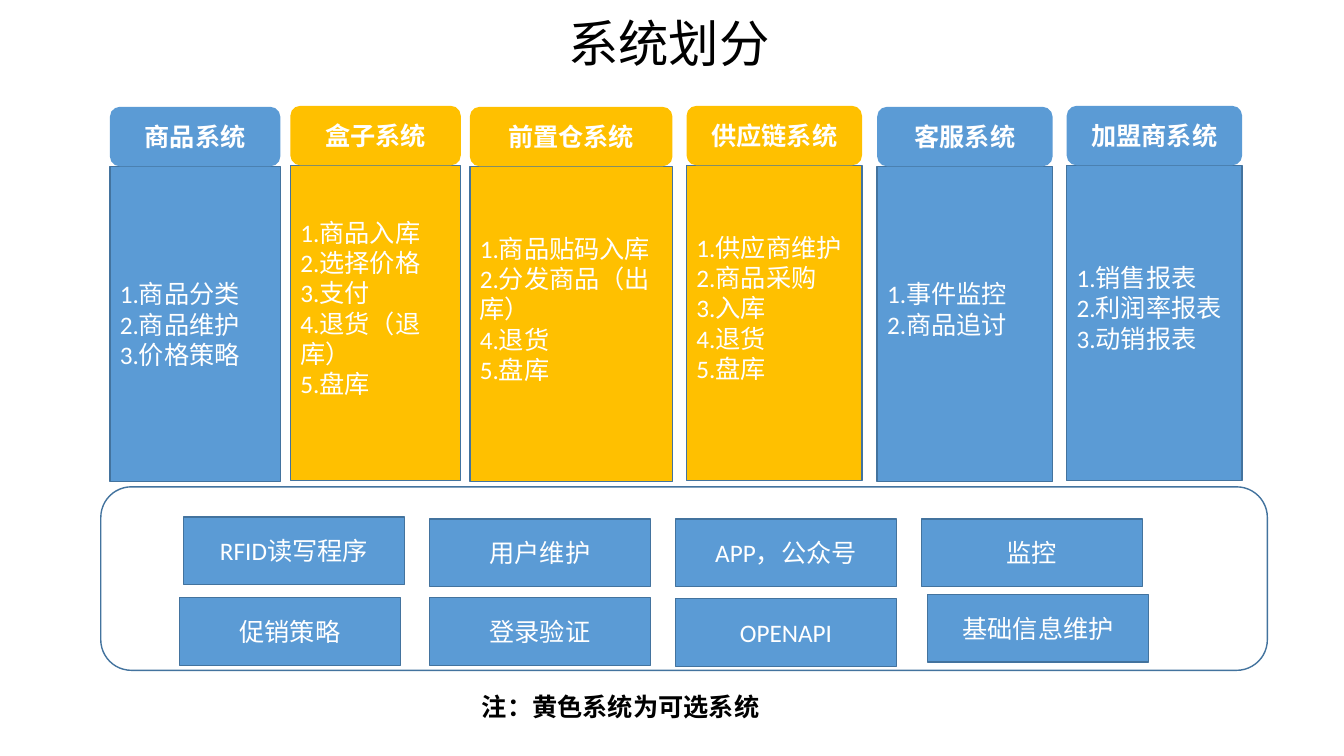
"""Build a slide that divides a retail platform into systems and shared services."""
import pptx
import pptx.dml.color
import pptx.enum.shapes
import pptx.enum.text
import pptx.util

BLUE, YELLOW, OUTLINE, WHITE, BLACK = "5B9BD5", "FFC000", "43739E", "FFFFFF", "000000"
RECTANGLE = pptx.enum.shapes.MSO_SHAPE.RECTANGLE
ROUNDED = pptx.enum.shapes.MSO_SHAPE.ROUNDED_RECTANGLE
CENTER = pptx.enum.text.PP_ALIGN.CENTER
LEFT = pptx.enum.text.PP_ALIGN.LEFT


def color(hex_value):
    return pptx.dml.color.RGBColor.from_string(hex_value)


def add_box(kind, bounds, lines=(), fill=None, line=None, text_color=WHITE,
            size=18, bold=False, align=CENTER, bottom=0.05):
    shape = slide.shapes.add_shape(kind, *[pptx.util.Inches(value) for value in bounds])
    shape.shadow.inherit = False
    if fill:
        shape.fill.solid()
        shape.fill.fore_color.rgb = color(fill)
    else:
        shape.fill.background()
    if line:
        shape.line.color.rgb = color(line)
        shape.line.width = pptx.util.Pt(1)
    else:
        shape.line.fill.background()
    frame = shape.text_frame
    frame.word_wrap = True
    frame.vertical_anchor = pptx.enum.text.MSO_ANCHOR.MIDDLE
    frame.margin_bottom = pptx.util.Inches(bottom)
    frame.text = "\n".join(lines)
    for paragraph in frame.paragraphs:
        paragraph.alignment = align
        paragraph.font.name = "Calibri"
        paragraph.font.size = pptx.util.Pt(size)
        paragraph.font.bold = bold
        paragraph.font.color.rgb = color(text_color)


presentation = pptx.Presentation()
presentation.slide_width = pptx.util.Inches(13.33)
presentation.slide_height = pptx.util.Inches(7.5)
slide = presentation.slides.add_slide(presentation.slide_layouts[6])

add_box(ROUNDED, (1.94, 0, 9.39, 0.84), ["系统划分"], text_color=BLACK, size=36)

systems = [
    ("商品系统", BLUE, 1.09, 1.06, 1.69, 0.05,
     ["1.商品分类", "2.商品维护", "3.价格策略"]),
    ("盒子系统", YELLOW, 2.88, 1.05, 1.69, 0.35,
     ["1.商品入库", "2.选择价格", "3.支付", "4.退货（退库）", "5.盘库"]),
    ("前置仓系统", YELLOW, 4.66, 1.06, 2.01, 0.35,
     ["1.商品贴码入库", "2.分发商品（出库）", "4.退货", "5.盘库"]),
    ("供应链系统", YELLOW, 6.81, 1.05, 1.74, 0.35,
     ["1.供应商维护", "2.商品采购", "3.入库", "4.退货", "5.盘库"]),
    ("客服系统", BLUE, 8.7, 1.06, 1.74, 0.35,
     ["1.事件监控", "2.商品追讨"]),
    ("加盟商系统", BLUE, 10.58, 1.05, 1.74, 0.35,
     ["1.销售报表", "2.利润率报表", "3.动销报表"]),
]
header_height, body_height = 0.59, 3.13
for name, fill, left, top, width, bottom, functions in systems:
    add_box(RECTANGLE, (left, top + header_height, width, body_height), functions,
            fill, OUTLINE, align=LEFT, bottom=bottom)
    add_box(ROUNDED, (left, top, width, header_height), [name], fill, bold=True)

add_box(ROUNDED, (1, 4.83, 11.57, 1.82), line=OUTLINE)

service_rows = [
    [("RFID读写程序", 0, -0.02), ("用户维护", 0, 0), ("APP，公众号", 0, 0), ("监控", 0, 0)],
    [("促销策略", -0.04, 0), ("登录验证", 0, 0), ("OPENAPI", 0, 0.01), ("基础信息维护", 0.06, -0.03)],
]
for row, services in enumerate(service_rows):
    for column, (name, shift_x, shift_y) in enumerate(services):
        left = 1.82 + 2.44 * column + shift_x
        top = 5.15 + 0.78 * row + shift_y
        add_box(RECTANGLE, (left, top, 2.19, 0.67), [name], BLUE, OUTLINE)

add_box(ROUNDED, (1.16, 6.59, 9.99, 0.83), ["注：黄色系统为可选系统"],
        text_color=BLACK, bold=True)

presentation.save("out.pptx")
